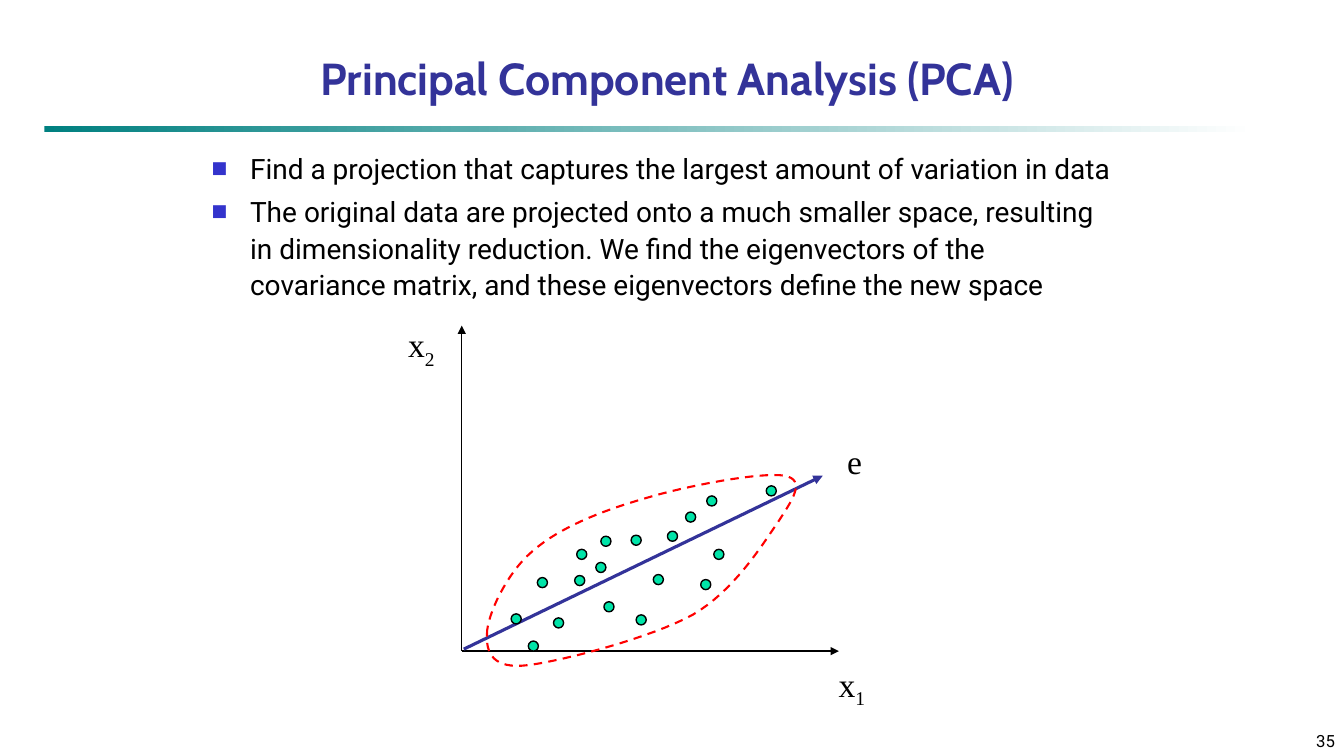
import pptx
import pptx.util
import pptx.dml.color
import pptx.enum.dml
import pptx.enum.shapes
import pptx.enum.text
import pptx.oxml
import pptx.oxml.ns
from lxml import etree

Inches, Pt = pptx.util.Inches, pptx.util.Pt
Align = pptx.enum.text.PP_ALIGN
Anchor = pptx.enum.text.MSO_ANCHOR
Preset = pptx.enum.shapes.MSO_SHAPE

TITLE = "Principal Component Analysis (PCA)"
BULLETS = [
    "Find a projection that captures the largest amount of variation in data",
    "The original data are projected onto a much smaller space, resulting in "
    "dimensionality reduction. We find the eigenvectors of the covariance "
    "matrix, and these eigenvectors define the new space",
]
PAGE_NUMBER = "35"
LABELS = [
    ("x", "2", (3.94, 3.19, 0.48, 0.51)),
    ("x", "1", (8.21, 6.56, 0.48, 0.51)),
    ("e", "", (8.3, 4.32, 0.35, 0.51)),
]
ARROWS = [
    ((4.58, 6.46), (4.58, 3.23), "000000", 1),
    ((4.58, 6.46), (8.32, 6.46), "000000", 1),
    ((4.6, 6.44), (8.16, 4.72), "333399", 2.25),
]
DOT_SIZE = 0.1
DOTS = [
    (5.33, 5.73), (5.72, 5.45), (5.07, 6.09), (5.91, 5.58), (5.7, 5.71),
    (6.48, 5.7), (6.31, 6.1), (5.99, 5.97), (6.26, 5.31), (7.08, 5.45),
    (7.6, 4.82), (5.49, 6.13), (6.62, 5.27), (7.01, 4.92), (5.96, 5.32),
    (6.8, 5.08), (6.95, 5.75), (5.24, 6.36),
]
CLOUD_START = (4.83, 6.29)
CLOUD_CURVES = [
    ((4.83, 6.11), (5.02, 5.69), (5.28, 5.47)),
    ((5.54, 5.24), (5.96, 5.07), (6.38, 4.95)),
    ((6.8, 4.82), (7.55, 4.68), (7.78, 4.72)),
    ((8, 4.76), (7.86, 4.96), (7.71, 5.19)),
    ((7.55, 5.42), (7.28, 5.86), (6.87, 6.1)),
    ((6.45, 6.33), (5.57, 6.56), (5.23, 6.6)),
    ((4.89, 6.64), (4.82, 6.48), (4.83, 6.29)),
]
CURVE_STEPS = 16


def color(value):
    return pptx.dml.color.RGBColor.from_string(value)


def add_xml(parent, tag, **attributes):
    return etree.SubElement(parent, pptx.oxml.ns.qn(tag), attributes)


def place(shape, left, top, width, height):
    shape.left, shape.top = Inches(left), Inches(top)
    shape.width, shape.height = Inches(width), Inches(height)


def add_span(para, text, font, size, value, bold=False):
    span = para.add_run()
    span.text = text
    span.font.name, span.font.size, span.font.bold = font, Pt(size), bold
    span.font.color.rgb = color(value)
    return span


def add_box(page, area, anchor, align, wrap):
    box = page.shapes.add_textbox(*map(Inches, area))
    box.text_frame.word_wrap = wrap
    box.text_frame.vertical_anchor = anchor
    para = box.text_frame.paragraphs[0]
    para.alignment = align
    return para


def set_line(shape, value, width):
    shape.line.color.rgb = color(value)
    shape.line.width = Pt(width)


def fill_title(title):
    place(title, 1.83, 0.17, 9.58, 0.92)
    title.text_frame.vertical_anchor = Anchor.BOTTOM
    para = title.text_frame.paragraphs[0]
    para.alignment = Align.CENTER
    add_span(para, TITLE, "Cabin", 32, "333399", True)


def fill_body(body):
    place(body, 2, 1.42, 9.17, 1.75)
    frame = body.text_frame
    for index, text in enumerate(BULLETS):
        para = frame.add_paragraph() if index else frame.paragraphs[0]
        para.line_spacing = 1.1
        para.space_before = Pt(4)
        add_span(para, text, "Roboto", 20, "000000")
        props = para._p.get_or_add_pPr()
        indent = Inches(0.38)
        props.set("marL", str(indent))
        props.set("indent", str(-indent))
        add_xml(add_xml(props, "a:buClr"), "a:srgbClr", val="3333CC")
        add_xml(props, "a:buSzPct", val="60000")
        add_xml(props, "a:buFont", typeface="Roboto")
        add_xml(props, "a:buChar", char="■")


def add_rule(page):
    rule = page.shapes.add_shape(Preset.RECTANGLE, *map(Inches, (0.44, 1.25, 12, 0.06)))
    rule.shadow.inherit = False
    rule.line.fill.background()
    rule.fill.gradient()
    rule.fill.gradient_angle = 0
    for stop, value in zip(rule.fill.gradient_stops, ("008080", "FFFFFF")):
        stop.color.rgb = color(value)


def add_arrow(page, start, end, value, width):
    arrow = page.shapes.add_connector(
        pptx.enum.shapes.MSO_CONNECTOR.STRAIGHT, *map(Inches, start + end))
    set_line(arrow, value, width)
    add_xml(arrow.line._get_or_add_ln(), "a:tailEnd", type="triangle")
    add_xml(arrow._element.spPr, "a:effectLst")


def add_dot(page, left, top):
    dot = page.shapes.add_shape(
        Preset.OVAL, *map(Inches, (left, top, DOT_SIZE, DOT_SIZE)))
    dot.shadow.inherit = False
    dot.fill.solid()
    dot.fill.fore_color.rgb = color("00E4A8")
    set_line(dot, "000000", 1)


def curve_point(points, t):
    weights = ((1 - t) ** 3, 3 * t * (1 - t) ** 2, 3 * t ** 2 * (1 - t), t ** 3)
    return tuple(
        Inches(sum(weight * point[axis] for weight, point in zip(weights, points)))
        for axis in (0, 1))


def add_cloud(page):
    start, outline = CLOUD_START, []
    for curve in CLOUD_CURVES:
        points = (start,) + curve
        outline += [curve_point(points, step / CURVE_STEPS)
                    for step in range(1, CURVE_STEPS + 1)]
        start = curve[-1]
    builder = page.shapes.build_freeform(*map(Inches, CLOUD_START))
    builder.add_line_segments(outline, close=True)
    cloud = builder.convert_to_shape()
    cloud.shadow.inherit = False
    cloud.fill.background()
    set_line(cloud, "FF0000", 1.5)
    cloud.line.dash_style = pptx.enum.dml.MSO_LINE.DASH


def main():
    deck = pptx.Presentation()
    deck.slide_width, deck.slide_height = Inches(13.33), Inches(7.5)
    page = deck.slides.add_slide(deck.slide_layouts[1])
    fill_title(page.shapes.title)
    fill_body(page.placeholders[1])
    add_rule(page)
    number = add_box(page, (10.56, 7.08, 2.78, 0.42), Anchor.BOTTOM, Align.RIGHT, True)
    add_span(number, PAGE_NUMBER, "Roboto", 12, "000000")
    for arrow in ARROWS:
        add_arrow(page, *arrow)
    add_cloud(page)
    for dot in DOTS:
        add_dot(page, *dot)
    for letter, subscript, area in LABELS:
        para = add_box(page, area, Anchor.MIDDLE, Align.CENTER, False)
        add_span(para, letter, "Times New Roman", 24, "000000")
        if subscript:
            span = add_span(para, subscript, "Times New Roman", 24, "000000")
            span.font._element.set("baseline", "-25000")
    deck.save("out.pptx")


if __name__ == "__main__":
    main()
